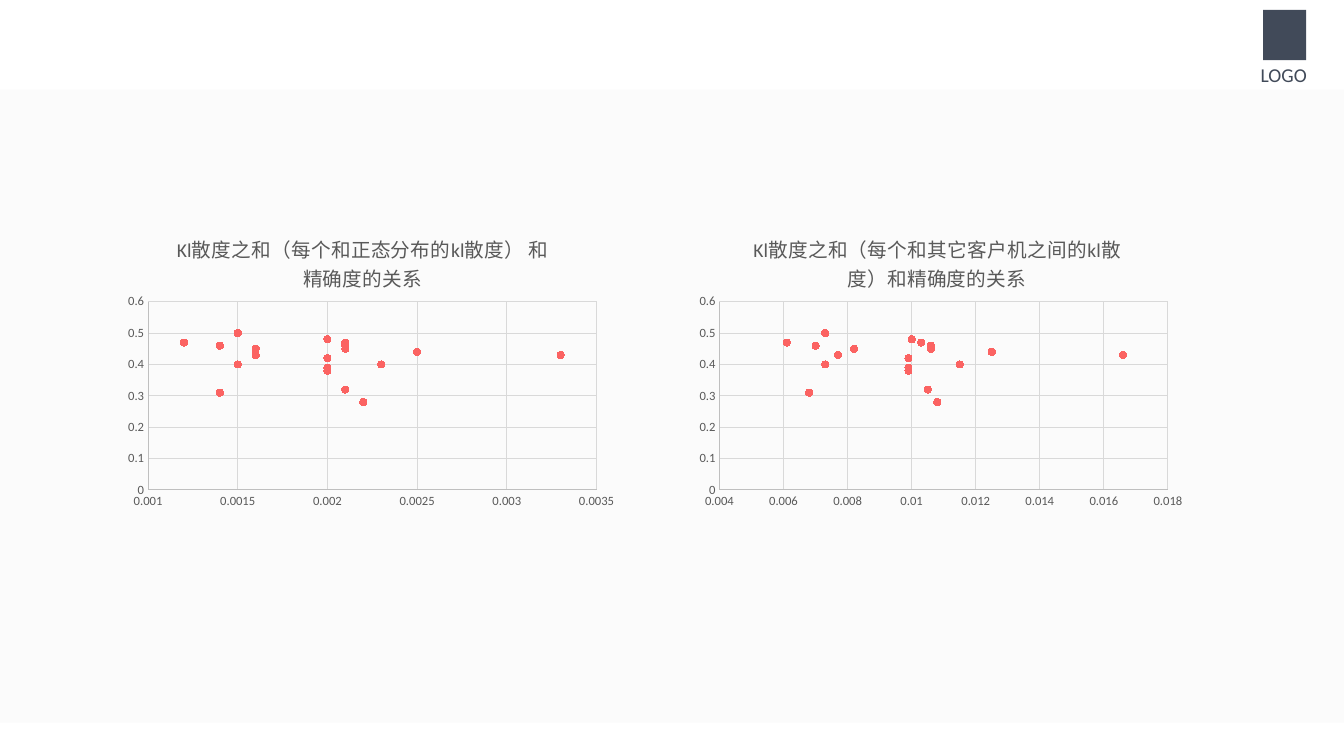
from dataclasses import dataclass

from pptx import Presentation
from pptx.chart.axis import ValueAxis
from pptx.chart.data import XyChartData
from pptx.dml.color import RGBColor
from pptx.enum.chart import XL_CHART_TYPE, XL_MARKER_STYLE, XL_TICK_MARK
from pptx.enum.shapes import MSO_SHAPE
from pptx.enum.text import MSO_AUTO_SIZE
from pptx.oxml import parse_xml
from pptx.oxml.ns import nsdecls, qn
from pptx.oxml.xmlchemy import BaseOxmlElement
from pptx.slide import Slide
from pptx.util import Cm, Pt

SCATTER = XL_CHART_TYPE.XY_SCATTER
CIRCLE = XL_MARKER_STYLE.CIRCLE
NO_TICK = XL_TICK_MARK.NONE
RECTANGLE = MSO_SHAPE.RECTANGLE
FIT_SHAPE = MSO_AUTO_SIZE.SHAPE_TO_FIT_TEXT

FONT = "Calibri"
BLACK = RGBColor(0x00, 0x00, 0x00)
PANEL_GRAY = RGBColor(0xF2, 0xF2, 0xF2)
SLATE = RGBColor(0x41, 0x4A, 0x59)
LABEL_GRAY = RGBColor(0x59, 0x59, 0x59)
AXIS_GRAY = RGBColor(0xBF, 0xBF, 0xBF)
GRID_GRAY = RGBColor(0xD9, 0xD9, 0xD9)
CORAL = RGBColor(0xFB, 0x63, 0x62)

ACCURACIES = (0.45, 0.42, 0.46, 0.28, 0.47, 0.46, 0.4, 0.44, 0.32, 0.43,
              0.43, 0.38, 0.47, 0.48, 0.39, 0.5, 0.31, 0.4, 0.45, 0.39)


@dataclass(frozen=True)
class AxisScale:
    minimum: float
    maximum: float
    step: float


@dataclass(frozen=True)
class DivergenceChart:
    title: str
    left: float
    title_left: float
    scale: AxisScale
    divergences: tuple[float, ...]


ACCURACY_SCALE = AxisScale(0, 0.6, 0.1)

CHARTS = (
    DivergenceChart(
        "Kl散度之和（每个和其它客户机之间的kl散度）和精确度的关系",
        17.37, 0.12, AxisScale(0.004, 0.018, 0.002),
        (0.0082, 0.0099, 0.0106, 0.0108, 0.0103, 0.007, 0.0073, 0.0125,
         0.0105, 0.0077, 0.0166, 0.0099, 0.0061, 0.01, 0.0099, 0.0073,
         0.0068, 0.0115, 0.0106, 0.0099),
    ),
    DivergenceChart(
        "Kl散度之和（每个和正态分布的kl散度） 和 精确度的关系",
        2.97, 0.11, AxisScale(0.001, 0.0035, 0.0005),
        (0.0016, 0.002, 0.0021, 0.0022, 0.0021, 0.0014, 0.0015, 0.0025,
         0.0021, 0.0016, 0.0033, 0.002, 0.0012, 0.002, 0.002, 0.0015,
         0.0014, 0.0023, 0.0021, 0.002),
    ),
)


def set_layout(parent: BaseOxmlElement, index: int, target: str,
               **fractions: float) -> None:
    for old_layout in parent.findall(qn("c:layout")):
        parent.remove(old_layout)
    modes = '<c:xMode val="edge"/><c:yMode val="edge"/>'
    sizes = "".join(f'<c:{key} val="{value}"/>' for key, value in fractions.items())
    parent.insert(index, parse_xml(
        f'<c:layout {nsdecls("c")}><c:manualLayout>{target}{modes}{sizes}'
        "</c:manualLayout></c:layout>"))


def style_axis(axis: ValueAxis, scale: AxisScale) -> None:
    axis.minimum_scale = scale.minimum
    axis.maximum_scale = scale.maximum
    axis.major_unit = scale.step
    axis.major_tick_mark = NO_TICK
    axis.minor_tick_mark = NO_TICK
    axis.has_major_gridlines = True
    for line, color in ((axis.format.line, AXIS_GRAY),
                        (axis.major_gridlines.format.line, GRID_GRAY)):
        line.color.rgb = color
        line.width = Pt(0.75)
    labels = axis.tick_labels
    labels.number_format = "General"
    labels.number_format_is_linked = False
    labels.font.size = Pt(9)
    labels.font.name = FONT
    labels.font.color.rgb = LABEL_GRAY


def add_divergence_chart(slide: Slide, item: DivergenceChart) -> None:
    data = XyChartData()
    points = data.add_series("Series 1")
    for divergence, accuracy in zip(item.divergences, ACCURACIES):
        points.add_data_point(divergence, accuracy)
    chart = slide.shapes.add_chart(
        SCATTER, Cm(item.left), Cm(5.31), Cm(12.7), Cm(7.65), data).chart
    chart.has_legend = False
    chart.font.size = Pt(10)
    chart.font.name = FONT
    chart.font.color.rgb = BLACK

    chart.has_title = True
    title_text = chart.chart_title.text_frame
    title_text.text = item.title
    title_font = title_text.paragraphs[0].font
    title_font.size = Pt(14)
    title_font.bold = False
    title_font.name = FONT
    title_font.color.rgb = LABEL_GRAY
    set_layout(chart.chart_title.element, 1, "", x=item.title_left, y=0.06)
    plot_area = chart.element.find(".//" + qn("c:plotArea"))
    set_layout(plot_area, 0, '<c:layoutTarget val="inner"/>',
               x=0.06, y=0.3, w=0.89, h=0.62)

    style_axis(chart.category_axis, item.scale)
    style_axis(chart.value_axis, ACCURACY_SCALE)
    plot = chart.plots[0]
    plot.vary_by_categories = False
    series = plot.series[0]
    series.format.line.fill.background()
    series.marker.style = CIRCLE
    series.marker.size = 5
    series.marker.format.fill.solid()
    series.marker.format.fill.fore_color.rgb = CORAL
    series.marker.format.line.color.rgb = CORAL


def add_block(slide: Slide, left: float, top: float, width: float,
              height: float, color: RGBColor, opacity: int = 100) -> None:
    block = slide.shapes.add_shape(
        RECTANGLE, Cm(left), Cm(top), Cm(width), Cm(height))
    block.shadow.inherit = False
    block.fill.solid()
    block.fill.fore_color.rgb = color
    block.line.fill.background()
    if opacity < 100:
        shade = block.element.spPr.find(".//" + qn("a:srgbClr"))
        shade.append(parse_xml(
            f'<a:alpha {nsdecls("a")} val="{opacity * 1000}"/>'))


def add_logo_label(slide: Slide) -> None:
    label = slide.shapes.add_textbox(
        Cm(31.52), Cm(1.45), Cm(1.68), Cm(0.86)).text_frame
    label.word_wrap = False
    label.auto_size = FIT_SHAPE
    label.text = "LOGO"
    font = label.paragraphs[0].font
    font.size = Pt(14)
    font.name = FONT
    font.color.rgb = SLATE


def main() -> None:
    presentation = Presentation()
    presentation.slide_width = Cm(33.87)
    presentation.slide_height = Cm(19.05)
    slide = presentation.slides.add_slide(presentation.slide_layouts[6])
    add_block(slide, 0, 2.26, 33.87, 15.95, PANEL_GRAY, 30)
    add_block(slide, 31.83, 0.25, 1.09, 1.27, SLATE)
    add_logo_label(slide)
    for item in CHARTS:
        add_divergence_chart(slide, item)
    presentation.save("out.pptx")


if __name__ == "__main__":
    main()
